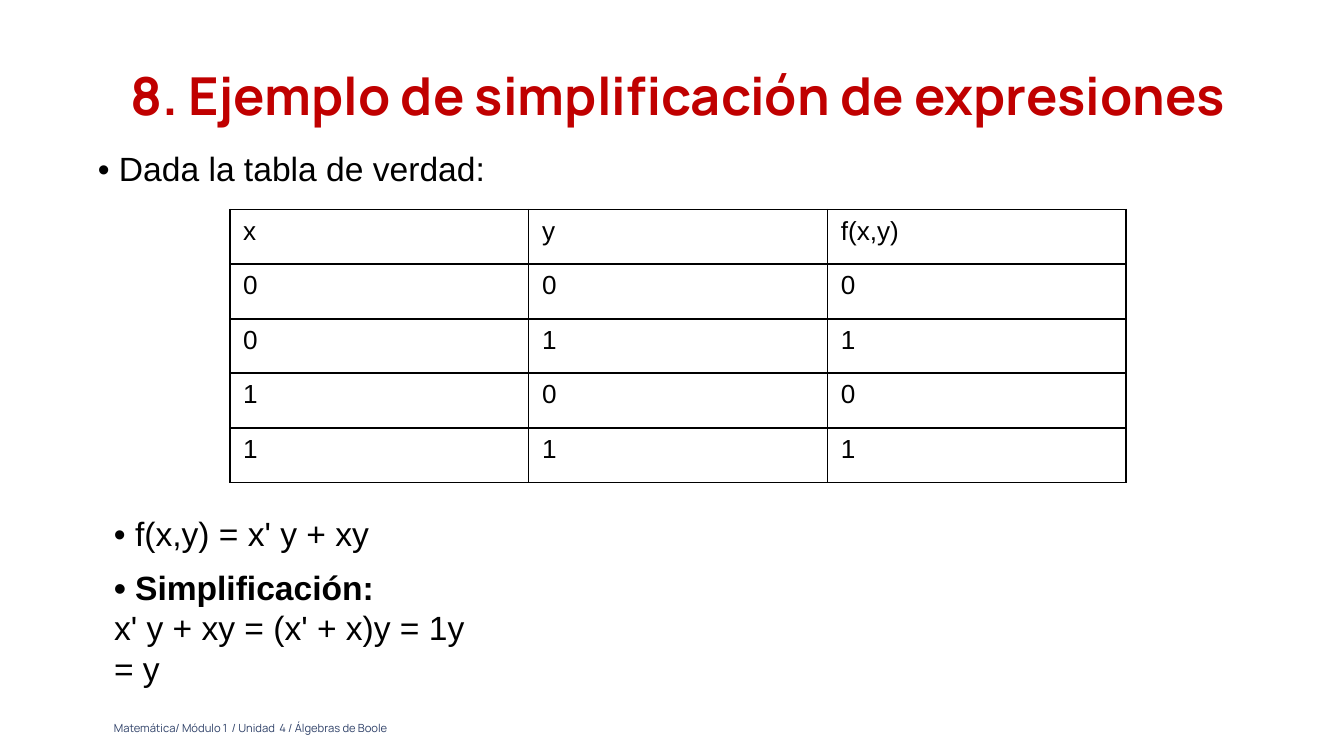
"""Build a slide that simplifies a Boolean expression from its truth table."""
from lxml import etree
from pptx import Presentation
from pptx import util as u
from pptx.dml.color import RGBColor
from pptx.enum import text
from pptx.oxml import ns

COLORS = {"title": "C00000", "body": "000000", "footer": "304269", "border": "000000"}
BODY = {"name": "Arial", "size": u.Pt(18), "bold": False}
STRONG = {**BODY, "bold": True}
CELL = {**BODY, "size": u.Pt(14)}
TITLE = {"name": "Manrope", "size": u.Pt(28), "bold": True}
FOOTER = {"name": "Manrope", "size": u.Pt(6), "bold": False}

TRUTH_TABLE = [
    ("x", "y", "f(x,y)"),
    ("0", "0", "0"),
    ("0", "1", "1"),
    ("1", "0", "0"),
    ("1", "1", "1"),
]


def write(p, words, style, color="body"):
    """Put one formatted run in a paragraph."""
    r = p.add_run()
    r.text = words
    for name, value in style.items():
        setattr(r.font, name, value)
    r.font.color.rgb = RGBColor.from_string(COLORS[color])


def add_title(s, words):
    """Place and format the title placeholder."""
    sp = s.shapes.title
    sp.left, sp.top = u.Inches(0.63), u.Inches(0.4)
    sp.width, sp.height = u.Inches(8.82), u.Inches(0.65)
    tf = sp.text_frame
    for side in ("left", "top", "right", "bottom"):
        setattr(tf, f"margin_{side}", 0)
    tf.vertical_anchor = text.MSO_ANCHOR.TOP
    tf.auto_size = text.MSO_AUTO_SIZE.NONE
    p = tf.paragraphs[0]
    layout = {
        "alignment": text.PP_ALIGN.CENTER,
        "line_spacing": 1.15,
        "space_before": u.Pt(0),
        "space_after": u.Pt(7),
    }
    for name, value in layout.items():
        setattr(p, name, value)
    write(p, words, TITLE, "title")


def add_text(s, left, top, width, height, lines, color="body"):
    """Add a wrapping text box with one paragraph per (words, style) pair."""
    sp = s.shapes.add_textbox(*map(u.Inches, (left, top, width, height)))
    tf = sp.text_frame
    tf.word_wrap = True
    for i, (words, style) in enumerate(lines):
        p = tf.add_paragraph() if i else tf.paragraphs[0]
        write(p, words, style, color)
    return tf


def add_borders(cell):
    """Draw a thin line on each side of a cell."""
    pr = cell._tc.get_or_add_tcPr()
    for i, side in enumerate(("lnL", "lnR", "lnT", "lnB")):
        ln = etree.Element(ns.qn(f"a:{side}"), w=str(u.Pt(1)))
        fill = etree.SubElement(ln, ns.qn("a:solidFill"))
        etree.SubElement(fill, ns.qn("a:srgbClr"), val=COLORS["border"])
        pr.insert(i, ln)


def add_truth_table(s, rows):
    """Add an unfilled, bordered table with equal rows and columns."""
    area = map(u.Inches, (1.71, 1.56, 6.67, 2.03))
    table = s.shapes.add_table(len(rows), len(rows[0]), *area).table
    table.first_row = table.horz_banding = False
    for i, row in enumerate(rows):
        for j, words in enumerate(row):
            cell = table.cell(i, j)
            cell.fill.background()
            add_borders(cell)
            write(cell.text_frame.paragraphs[0], words, CELL)


def main():
    """Build and save the slide."""
    prs = Presentation()
    prs.slide_width = u.Inches(10)
    prs.slide_height = prs.slide_width * 9 // 16
    s = prs.slides.add_slide(prs.slide_layouts[5])
    add_title(s, "8. Ejemplo de simplificación de expresiones")
    tf = add_text(s, 0.75, 5.32, 6.74, 0.24,
                  [("Matemática/ Módulo 1  / Unidad  4 / Álgebras de Boole", FOOTER)],
                  "footer")
    tf.margin_top = tf.margin_bottom = u.Inches(0.1)
    add_text(s, 0.63, 1.05, 5, 0.4, [("• Dada la tabla de verdad:", BODY)])
    add_truth_table(s, TRUTH_TABLE)
    add_text(s, 0.75, 3.77, 5, 0.4, [("• f(x,y) = x' y + xy", BODY)])
    add_text(s, 0.75, 4.17, 2.88, 0.71,
             [("• Simplificación:", STRONG), ("x' y + xy = (x' + x)y = 1y = y", BODY)])
    prs.save("out.pptx")


if __name__ == "__main__":
    main()
